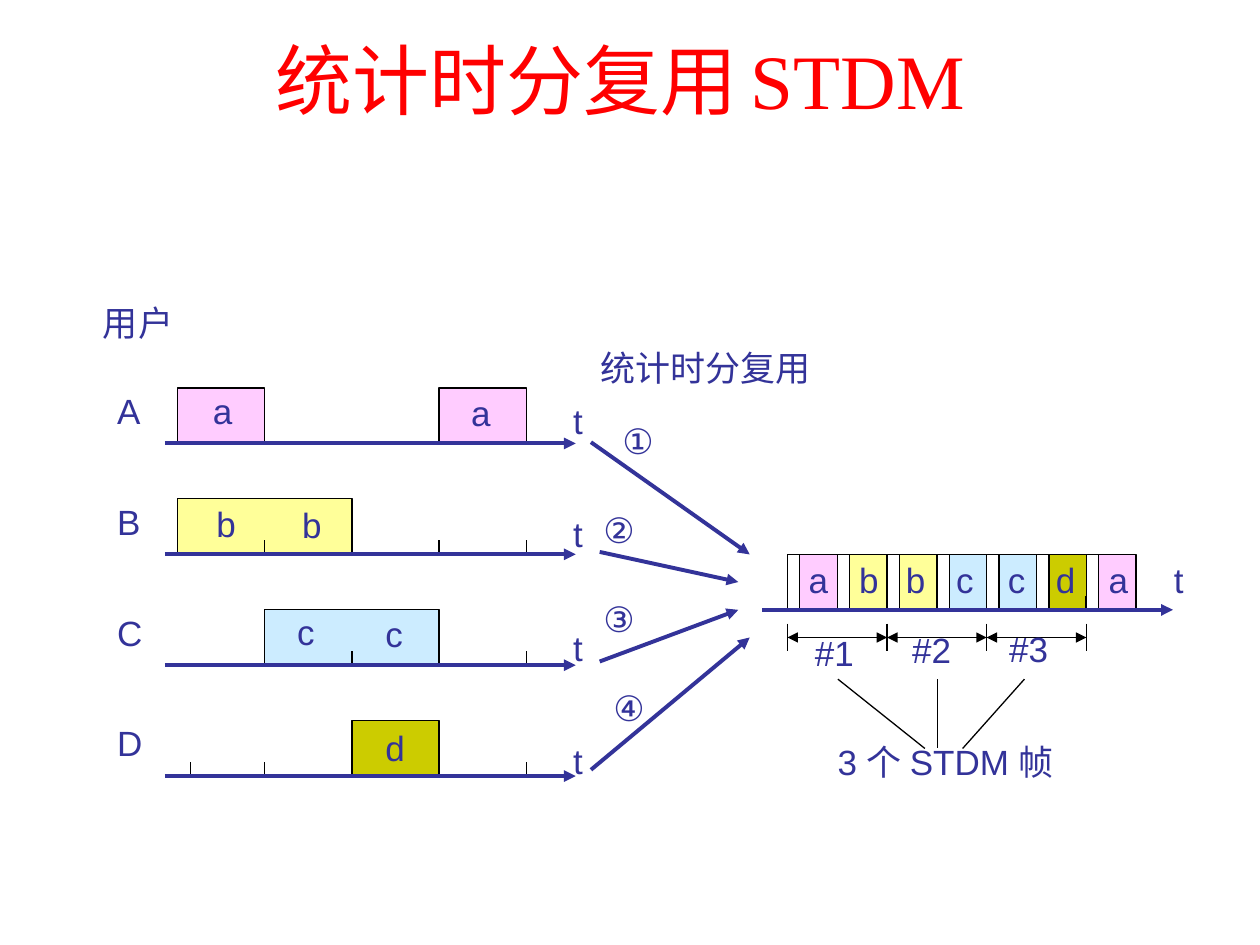
"""Build a slide that explains statistical time division multiplexing."""
import lxml.etree
import pptx
import pptx.dml.color
import pptx.enum.shapes
import pptx.enum.text
import pptx.oxml.ns
import pptx.util

INK, BLACK, RED = "333399", "000000", "FF0000"
FILLS = {"a": "FFCCFF", "b": "FFFF99", "c": "CCECFF", "d": "CCCC00"}
LETTER_WIDTHS = {"a": 25.2, "b": 25.2, "c": 24.5, "d": 25.2}
TEXT_HEIGHT = 31.7
BLOCK_HEIGHT = 31.7
TICK = 7.9

ROW_TOP, ROW_PITCH = 253.4, 63.36
SLOT_LEFT, SLOT_WIDTH = 101.5, 49.8
MUX_LEFT, MUX_AXIS, MUX_PITCH, MUX_HEADER = 450, 348.5, 28.46, 7.1

USERS = [
    ("A", 27.4, [("a", 0, 1), ("a", 3, 1)], [(114.5, 218.9), (262.1, 220.3)], []),
    ("B", 27.4, [("b", 0, 2)], [(116.6, 283.7), (165.6, 284.4)], [1, 3, 4]),
    ("C", 28.8, [("c", 1, 2)], [(162.7, 345.6), (213.1, 346.3)], [2, 4]),
    ("D", 28.8, [("d", 2, 1)], [(213.1, 411.8)], [0.15, 1, 4]),
]
MUX_LETTERS = [("a", 455), ("b", 483.8), ("b", 510.5), ("c", 539.3),
               ("c", 568.8), ("d", 596.2), ("a", 626.4)]
FRAME_LABELS = [("#1", 458.6, 357.1), ("#2", 514.1, 355.7), ("#3", 569.5, 355)]
FRAME_LEADERS = [(478.8, 528.5), (535.7, 535.7), (585.4, 550.1)]
INPUTS = [
    ("①", 348.5, 236.2, (337.7, 252.7, 428.4, 316.8)),
    ("②", 337.7, 287.3, (342.7, 315.4, 421.9, 332.6)),
    ("③", 337.7, 337.7, (342.7, 378, 421.9, 348.5)),
    ("④", 343.4, 388.8, (337.7, 439.9, 428.4, 364.3)),
]


def color(value):
    """Return an RGB colour from a hex string."""
    return pptx.dml.color.RGBColor.from_string(value)


def add_span(para, text, font, size, ink):
    """Add one formatted run to a paragraph."""
    span = para.add_run()
    span.text = text
    span.font.name = font
    span.font.size = pptx.util.Pt(size)
    span.font.color.rgb = color(ink)


def add_title(page):
    """Place and format the title placeholder."""
    box = page.shapes.title
    box.left, box.top = pptx.util.Pt(0), pptx.util.Pt(0)
    box.width, box.height = pptx.util.Pt(720), pptx.util.Pt(90)
    frame = box.text_frame
    frame.auto_size = pptx.enum.text.MSO_AUTO_SIZE.NONE
    frame.vertical_anchor = pptx.enum.text.MSO_ANCHOR.MIDDLE
    para = frame.paragraphs[0]
    para.alignment = pptx.enum.text.PP_ALIGN.CENTER
    for text, size in [("统计时分复用", 44), (" ", 32), ("STDM ", 44)]:
        add_span(para, text, "Times New Roman", size, RED)


def add_label(page, text, left, top, width):
    """Add a single-line label."""
    box = page.shapes.add_textbox(*map(pptx.util.Pt, (left, top, width, TEXT_HEIGHT)))
    frame = box.text_frame
    frame.word_wrap = False
    frame.auto_size = pptx.enum.text.MSO_AUTO_SIZE.SHAPE_TO_FIT_TEXT
    add_span(frame.paragraphs[0], text, "Arial", 20, INK)


def add_block(page, left, axis, width, fill=None):
    """Add a block standing on an axis, its outline open at the bottom."""
    top = axis - BLOCK_HEIGHT
    corners = [(left, axis), (left, top), (left + width, top), (left + width, axis)]
    points = [tuple(map(pptx.util.Pt, corner)) for corner in corners]
    builder = page.shapes.build_freeform(*points[0])
    builder.add_line_segments(points[1:], close=False)
    block = builder.convert_to_shape()
    block.shadow.inherit = False
    if fill:
        block.fill.solid()
        block.fill.fore_color.rgb = color(fill)
    else:
        block.fill.background()
    block.line.color.rgb = color(BLACK)
    block.line.width = pptx.util.Pt(0.75)


def add_line(page, ends, ink=BLACK, weight=0.75, arrows=()):
    """Add a straight line with arrowheads at the named ends."""
    line = page.shapes.add_connector(
        pptx.enum.shapes.MSO_CONNECTOR.STRAIGHT, *map(pptx.util.Pt, ends))
    line.line.color.rgb = color(ink)
    line.line.width = pptx.util.Pt(weight)
    for end in arrows:
        lxml.etree.SubElement(
            line.get_or_add_ln(), pptx.oxml.ns.qn("a:" + end), type="triangle")
    lxml.etree.SubElement(line.element.spPr, pptx.oxml.ns.qn("a:effectLst"))


def add_arrow(page, ends):
    """Add a thick arrow."""
    add_line(page, ends, INK, 2.25, ["tailEnd"])


def add_tick(page, x, axis):
    """Add a short tick standing on an axis."""
    add_line(page, (x, axis - TICK, x, axis))


def add_users(page):
    """Draw the timeline of each user."""
    add_label(page, "用户", 51.8, 168.5, 56)
    for row, (name, width, bursts, places, ticks) in enumerate(USERS):
        axis = ROW_TOP + row * ROW_PITCH
        for letter, first, slots in bursts:
            add_block(page, SLOT_LEFT + first * SLOT_WIDTH, axis,
                      slots * SLOT_WIDTH, FILLS[letter])
        for slot in ticks:
            add_tick(page, SLOT_LEFT + slot * SLOT_WIDTH, axis)
        add_arrow(page, (94.3, axis, 329, axis))
        add_label(page, name, 59.8, axis - 34.5, width)
        for left, top in places:
            letter = bursts[0][0]
            add_label(page, letter, left, top, LETTER_WIDTHS[letter])
        add_label(page, "t", 320.4, 224.6 + 64.8 * row, 19.4)


def add_inputs(page):
    """Draw the numbered arrows into the multiplexer."""
    add_label(page, "统计时分复用", 336.2, 194.4, 136)
    for number, left, top, ends in INPUTS:
        add_arrow(page, ends)
        add_label(page, number, left, top, 34.6)


def add_multiplex(page):
    """Draw the shared timeline."""
    for index, (letter, text_left) in enumerate(MUX_LETTERS):
        left = MUX_LEFT + index * MUX_PITCH
        add_block(page, left + MUX_HEADER, MUX_AXIS, MUX_PITCH - MUX_HEADER, FILLS[letter])
        add_block(page, left, MUX_AXIS, MUX_HEADER)
        add_label(page, letter, text_left, 315.4, LETTER_WIDTHS[letter])
    for x in (514.1, 535.7, 620.6):
        add_tick(page, x, MUX_AXIS)
    add_arrow(page, (435.6, MUX_AXIS, 670.3, MUX_AXIS))
    add_label(page, "t", 663.8, 315.4, 19.4)


def add_frames(page):
    """Mark the frames below the shared timeline."""
    edges = [MUX_LEFT + 2 * MUX_PITCH * index for index in range(4)]
    for x in edges:
        add_line(page, (x, 356.4, x, 372.2))
    for start, end in zip(edges, edges[1:]):
        add_line(page, (start, 364.3, end, 364.3), arrows=["headEnd", "tailEnd"])
    for text, left, top in FRAME_LABELS:
        add_label(page, text, left, top, 36.7)
    for start, end in FRAME_LEADERS:
        add_line(page, (start, 388.1, end, 427.7))
    add_label(page, "3 个 STDM 帧", 471.6, 419.8, 156)


def main():
    """Build and save the deck."""
    deck = pptx.Presentation()
    deck.slide_width, deck.slide_height = pptx.util.Pt(720), pptx.util.Pt(540)
    page = deck.slides.add_slide(deck.slide_layouts[5])
    add_title(page)
    add_users(page)
    add_inputs(page)
    add_multiplex(page)
    add_frames(page)
    deck.save("out.pptx")


if __name__ == "__main__":
    main()
